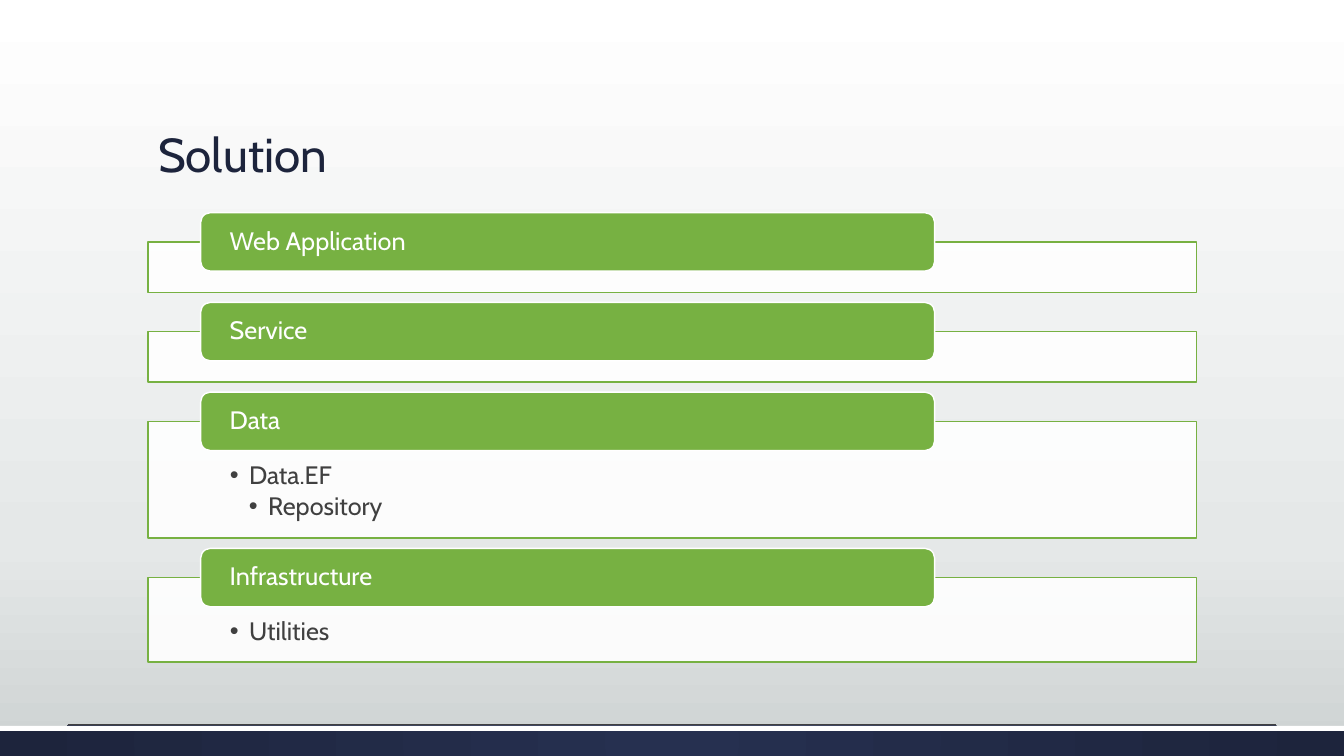
from lxml import etree
from pptx import Presentation
from pptx.dml.color import RGBColor
from pptx.enum import shapes, text
from pptx.oxml.ns import qn
from pptx.util import Inches, Pt

TITLE = "Solution"
# layer name, panel height, bullets as (level, text)
LAYERS = [
    ("Web Application", 0.5, []),
    ("Service", 0.5, []),
    ("Data", 1.16, [(1, "Data.EF"), (2, "Repository")]),
    ("Infrastructure", 0.84, [(1, "Utilities")]),
]
BACKDROP = [(0, "FFFFFF"), (72, "E5E8E8"), (100, "CDD2D2")]
FOOTER = [(0, "263050"), (100, "1D243C")]

FONT = "Cabin"
NAVY = RGBColor(0x1D, 0x24, 0x3C)
GREEN = RGBColor(0x77, 0xB1, 0x42)
WHITE = RGBColor(0xFF, 0xFF, 0xFF)
GRAY = RGBColor(0x40, 0x40, 0x40)

WIDTH, HEIGHT = 13.33, 7.5
LEFT, PANEL_W = 1.47, 10.4
FIRST_TOP, GAP = 2.4, 0.39
LABEL_X, LABEL_W, LABEL_H = 1.99, 7.28, 0.58
LABEL_RISE = 0.29
INDENT = 0.19
RECT = shapes.MSO_SHAPE.RECTANGLE
ROUNDED = shapes.MSO_SHAPE.ROUNDED_RECTANGLE


def set_gradient(fill, element, stops, radial=False):
    """Fill with stops given as (percent, colour), top to bottom or from the centre."""
    fill.gradient()
    grad = element.find(".//" + qn("a:gradFill"))
    for child in list(grad):
        grad.remove(child)
    stop_list = etree.SubElement(grad, qn("a:gsLst"))
    for percent, colour in stops:
        gs = etree.SubElement(stop_list, qn("a:gs"), pos=str(percent * 1000))
        etree.SubElement(gs, qn("a:srgbClr"), val=colour)
    if radial:
        way = etree.SubElement(grad, qn("a:path"), path="circle")
        etree.SubElement(way, qn("a:fillToRect"), l="50000", t="50000",
                         r="50000", b="50000")
    else:
        etree.SubElement(grad, qn("a:lin"), ang="5400000", scaled="0")


def add_box(s, kind, x, y, w, h, fill=None, line=None):
    sp = s.shapes.add_shape(kind, Inches(x), Inches(y), Inches(w), Inches(h))
    sp.shadow.inherit = False
    if fill is not None:
        sp.fill.solid()
        sp.fill.fore_color.rgb = fill
    if line is None:
        sp.line.fill.background()
    else:
        sp.line.color.rgb = line
        sp.line.width = Pt(1)
    return sp


def set_frame(tf, anchor, side, top, bottom):
    tf.word_wrap = True
    tf.vertical_anchor = anchor
    tf.margin_left = tf.margin_right = Inches(side)
    tf.margin_top, tf.margin_bottom = Inches(top), Inches(bottom)


def style(p, size, colour):
    p.alignment = text.PP_ALIGN.LEFT
    p.line_spacing = 0.9
    for r in p.runs:
        r.font.name = FONT
        r.font.size = Pt(size)
        r.font.color.rgb = colour


def add_bullet(p, level):
    pPr = p._p.get_or_add_pPr()
    pPr.set("marL", str(Inches(INDENT * level)))
    pPr.set("indent", str(-Inches(INDENT)))
    etree.SubElement(pPr, qn("a:buFont"), typeface="Arial")
    etree.SubElement(pPr, qn("a:buChar"), char="•")


def add_layer(s, top, name, height, bullets):
    panel = add_box(s, RECT, LEFT, top, PANEL_W, height, WHITE, GREEN)
    colour = panel._element.spPr.find(qn("a:solidFill"))[0]
    etree.SubElement(colour, qn("a:alpha"), val="90000")
    if bullets:
        tf = panel.text_frame
        set_frame(tf, text.MSO_ANCHOR.TOP, 0.81, 0.41, 0.14)
        tf.text = "\n".join(line for _, line in bullets)
        for p, (level, _) in zip(tf.paragraphs, bullets):
            style(p, 18, GRAY)
            p.space_after = Pt(2.7)
            add_bullet(p, level)

    label = add_box(s, ROUNDED, LABEL_X, top - LABEL_RISE, LABEL_W, LABEL_H,
                    GREEN, WHITE)
    tf = label.text_frame
    set_frame(tf, text.MSO_ANCHOR.MIDDLE, 0.26, 0, 0)
    tf.text = name
    style(tf.paragraphs[0], 18, WHITE)


def main():
    prs = Presentation()
    prs.slide_width, prs.slide_height = Inches(WIDTH), Inches(HEIGHT)
    s = prs.slides.add_slide(prs.slide_layouts[6])
    set_gradient(s.background.fill, s._element, BACKDROP)

    footer = add_box(s, RECT, 0, 7.2, WIDTH, 0.3)
    set_gradient(footer.fill, footer._element, FOOTER, radial=True)
    add_box(s, RECT, 0, 7.2, WIDTH, 0.05, WHITE)
    rule = s.shapes.add_connector(shapes.MSO_CONNECTOR.STRAIGHT, Inches(0.67),
                                  Inches(7.19), Inches(12.66), Inches(7.19))
    rule.line.color.rgb = GRAY
    rule.line.width = Pt(0.5)
    etree.SubElement(rule._element.spPr, qn("a:effectLst"))

    title = s.shapes.add_textbox(Inches(LEFT), Inches(0.51), Inches(PANEL_W),
                                 Inches(1.35))
    tf = title.text_frame
    set_frame(tf, text.MSO_ANCHOR.BOTTOM, 0.1, 0.05, 0.05)
    tf.text = TITLE
    style(tf.paragraphs[0], 34, NAVY)

    top = FIRST_TOP
    for name, height, bullets in LAYERS:
        add_layer(s, top, name, height, bullets)
        top += height + GAP

    prs.save("out.pptx")


if __name__ == "__main__":
    main()
